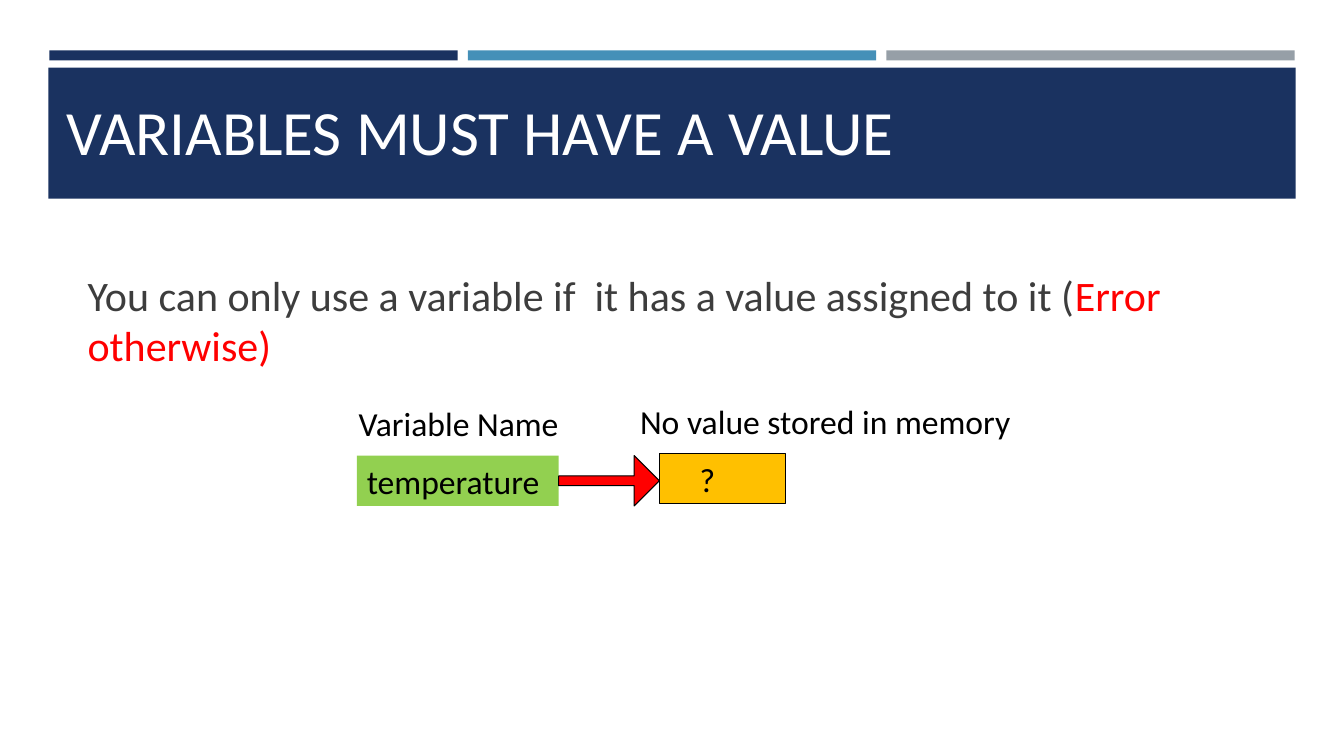
from pptx import Presentation
from pptx.dml.color import RGBColor
from pptx.enum.shapes import MSO_SHAPE
from pptx.enum.text import MSO_ANCHOR, PP_ALIGN
from pptx.util import Inches, Pt

RECT, ARROW = MSO_SHAPE.RECTANGLE, MSO_SHAPE.RIGHT_ARROW
TOP, BOTTOM, LEFT = MSO_ANCHOR.TOP, MSO_ANCHOR.BOTTOM, PP_ALIGN.LEFT
FONT, BLACK, NAVY, RED = "Calibri", "000000", "1A3260", "FF0000"

BAR_COLORS = [NAVY, "4590B8", "969FA7"]
BAR_LEFT, BAR_TOP, BAR_W, BAR_H, BAR_GAP = 0.49, 0.5, 4.05, 0.1, 0.1
BANNER = (0.48, 0.67, 12.37, 1.3)

TITLE = [("VARIABLES MUST HAVE A VALUE", "FFFFFF")]
BODY = [
    ("You can only use a variable if  it has a value assigned to it (", "3D3D3D"),
    ("Error otherwise)", RED),
]
LABELS = [
    ("No value stored in memory", (6.25, 3.93, 4.03, 0.5)),
    ("Variable Name", (3.46, 3.95, 2.2, 0.5)),
]
NAME_BOX = (3.54, 4.52, 2, 0.5)
VALUE_BOX = (6.54, 4.5, 1.25, 0.5)


def rgb(value):
    return RGBColor.from_string(value)


def add_box(kind, at, fill, line=None):
    sp = s.shapes.add_shape(kind, *map(Inches, at))
    sp.shadow.inherit = False
    sp.fill.solid()
    sp.fill.fore_color.rgb = rgb(fill)
    if line:
        sp.line.color.rgb = rgb(line)
        sp.line.width = Pt(0.75)
    else:
        sp.line.fill.background()
    return sp


def write(sp, runs, size, **frame):
    tf = sp.text_frame
    for key, value in {"word_wrap": True, "vertical_anchor": TOP, **frame}.items():
        setattr(tf, key, value)
    p = tf.paragraphs[0]
    p.alignment = LEFT
    for text, color in runs:
        r = p.add_run()
        r.text = text
        for key, value in {"name": FONT, "size": Pt(size)}.items():
            setattr(r.font, key, value)
        r.font.color.rgb = rgb(color)


def add_text(at, runs, size, **frame):
    write(s.shapes.add_textbox(*map(Inches, at)), runs, size, **frame)


prs = Presentation()
prs.slide_width, prs.slide_height = Inches(13.33), Inches(7.5)
s = prs.slides.add_slide(prs.slide_layouts[6])

for i, color in enumerate(BAR_COLORS):
    add_box(RECT, (BAR_LEFT + i * (BAR_W + BAR_GAP), BAR_TOP, BAR_W, BAR_H), color)
add_box(RECT, BANNER, NAVY)

add_text((0.56, 0.42, 9.42, 1.25), TITLE, 45,
         vertical_anchor=BOTTOM, margin_bottom=0)
add_text((0.77, 2.62, 12.08, 1.12), BODY, 30)

for text, at in LABELS:
    add_text(at, [(text, BLACK)], 24)
write(add_box(RECT, VALUE_BOX, "FFC000", BLACK), [("?", BLACK)], 24,
      margin_left=Inches(0.4))
write(add_box(RECT, NAME_BOX, "92D050"), [("temperature", BLACK)], 24)

arrow_left = NAME_BOX[0] + NAME_BOX[2]
arrow = add_box(ARROW, (arrow_left, NAME_BOX[1], VALUE_BOX[0] - arrow_left, 0.5),
                RED, BLACK)
arrow.adjustments[0] = 0.19
arrow.adjustments[1] = 0.5

prs.save("out.pptx")
